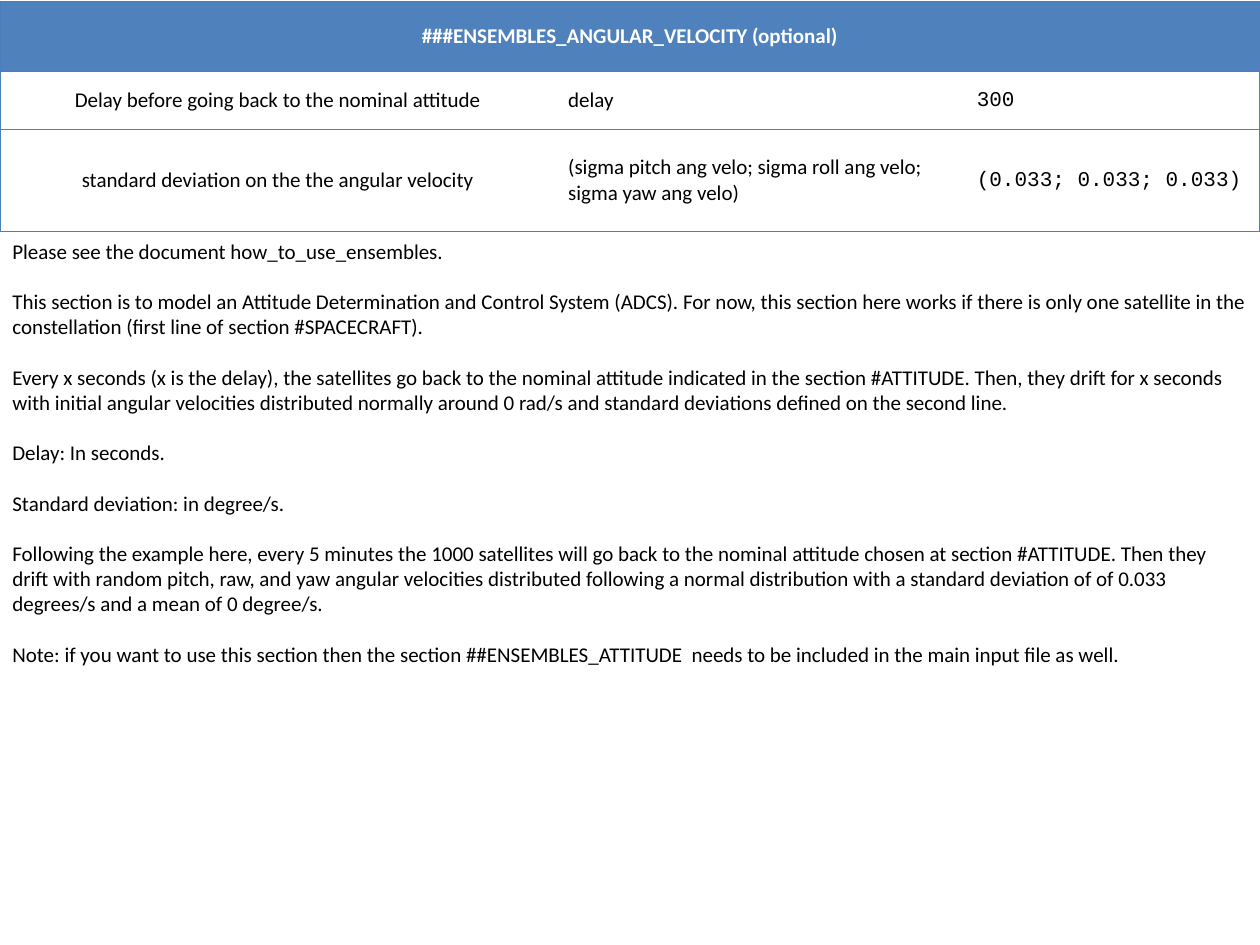
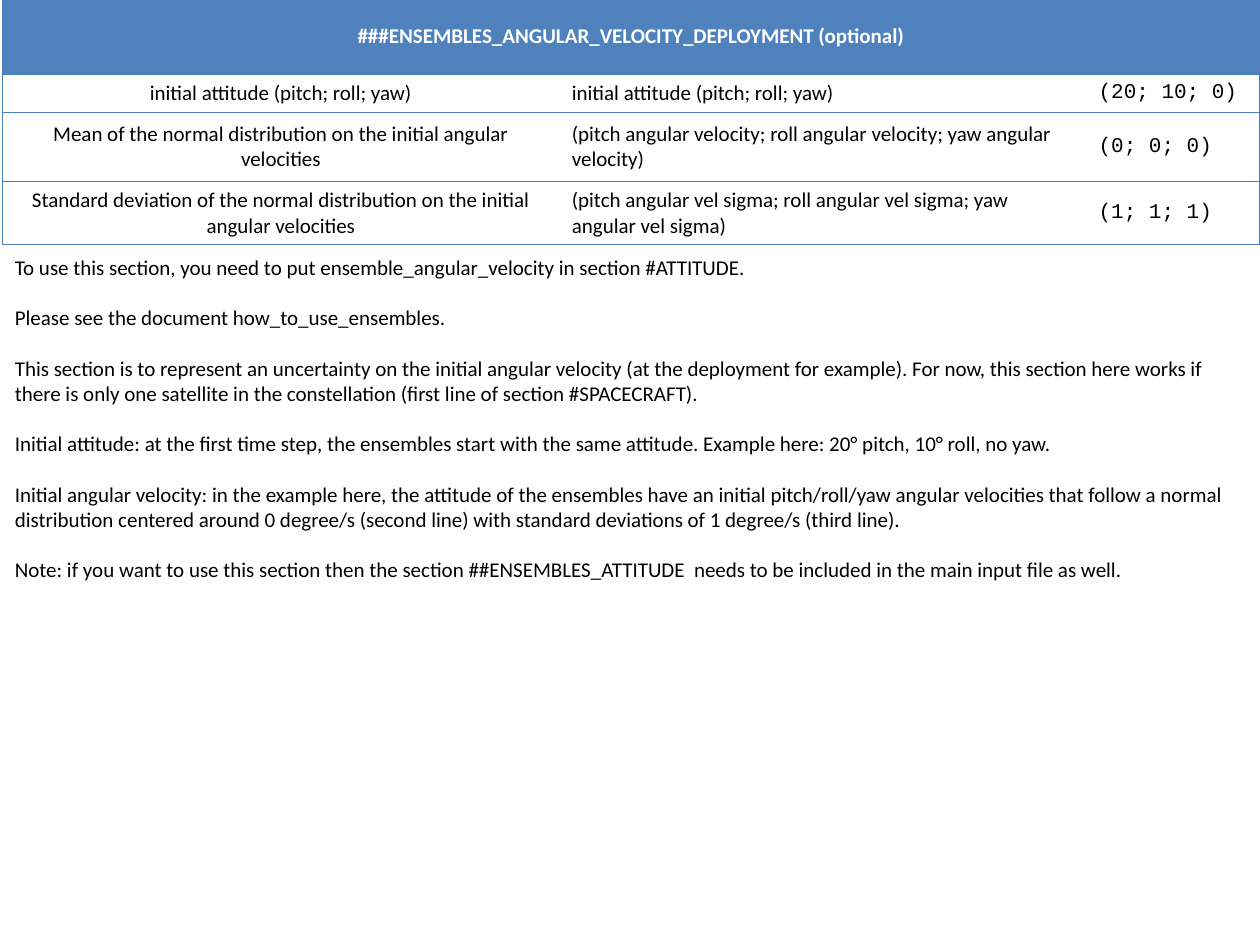
"""Build two reference slides on the optional angular velocity sections."""
from lxml import etree
from pptx import Presentation
from pptx.dml.color import RGBColor
from pptx.enum import text
from pptx.oxml import ns
from pptx.util import Pt

COLORS = {"header": "4F81BD", "border": "4B7EBC", "heading": "FFFFFF", "body": "000000"}
BODY_FONT, VALUE_FONT = "Calibri", "Courier New"
LINE_HEIGHT = 14.4
SEE_ALSO = "Please see the document how_to_use_ensembles."
NOTE = ("Note: if you want to use this section then the section ##ENSEMBLES_ATTITUDE  "
        "needs to be included in the main input file as well.")

SECTIONS = [
    {
        "heading": "###ENSEMBLES_ANGULAR_VELOCITY (optional)",
        "left": 0, "top": 0.7, "notes_top": 132.5, "notes_height": 254,
        "columns": [317.5, 233.5, 169],
        "heights": [40.3, 33.1, 58.3],
        "rows": [
            ("Delay before going back to the nominal attitude", "delay", "300"),
            ("standard deviation on the the angular velocity",
             "(sigma pitch ang velo; sigma roll ang velo; sigma yaw ang velo)",
             "(0.033; 0.033; 0.033)"),
        ],
        "notes": [
            SEE_ALSO,
            "This section is to model an Attitude Determination and Control System (ADCS). "
            "For now, this section here works if there is only one satellite in the "
            "constellation (first line of section #SPACECRAFT).",
            "Every x seconds (x is the delay), the satellites go back to the nominal attitude "
            "indicated in the section #ATTITUDE. Then, they drift for x seconds with initial "
            "angular velocities distributed normally around 0 rad/s and standard deviations "
            "defined on the second line.",
            "Delay: In seconds.",
            "Standard deviation: in degree/s.",
            "Following the example here, every 5 minutes the 1000 satellites will go back to "
            "the nominal attitude chosen at section #ATTITUDE. Then they drift with random "
            "pitch, raw, and yaw angular velocities distributed following a normal distribution "
            "with a standard deviation of of 0.033 degrees/s and a mean of 0 degree/s.",
            NOTE,
        ],
    },
    {
        "heading": "###ENSEMBLES_ANGULAR_VELOCITY_DEPLOYMENT (optional)",
        "left": 1.4, "top": -0.7, "notes_top": 141.8, "notes_height": 211,
        "columns": [318.2, 301, 99.4],
        "heights": [43.2, 21.6, 39.6, 36],
        "rows": [
            ("initial attitude (pitch; roll; yaw)", "initial attitude (pitch; roll; yaw)",
             "(20; 10; 0)"),
            ("Mean of the normal distribution on the initial angular velocities",
             "(pitch angular velocity; roll angular velocity; yaw angular velocity)",
             "(0; 0; 0)"),
            ("Standard deviation of the normal distribution on the initial angular velocities",
             "(pitch angular vel sigma; roll angular vel sigma; yaw angular vel sigma)",
             "(1; 1; 1)"),
        ],
        "notes": [
            "To use this section, you need to put ensemble_angular_velocity in section #ATTITUDE.",
            SEE_ALSO,
            "This section is to represent an uncertainty on the initial angular velocity (at the "
            "deployment for example). For now, this section here works if there is only one "
            "satellite in the constellation (first line of section #SPACECRAFT).",
            "Initial attitude: at the first time step, the ensembles start with the same "
            "attitude. Example here: 20° pitch, 10° roll, no yaw.",
            "Initial angular velocity: in the example here, the attitude of the ensembles have "
            "an initial pitch/roll/yaw angular velocities that follow a normal distribution "
            "centered around 0 degree/s (second line) with standard deviations of 1 degree/s "
            "(third line).",
            NOTE,
        ],
    },
]


def style_paragraph(para, color="body", font=BODY_FONT, bold=False):
    para.font.name = font
    para.font.size = Pt(12)
    para.font.bold = bold
    para.font.color.rgb = RGBColor.from_string(COLORS[color])


def set_borders(cell, visible_sides):
    properties = cell._tc.get_or_add_tcPr()
    for side in "LRTB":
        line = etree.SubElement(properties, ns.qn(f"a:ln{side}"), w=str(Pt(0.75)))
        if side in visible_sides:
            fill = etree.SubElement(line, ns.qn("a:solidFill"))
            etree.SubElement(fill, ns.qn("a:srgbClr"), val=COLORS["border"])
        else:
            etree.SubElement(line, ns.qn("a:noFill"))


deck = Presentation()
deck.slide_width, deck.slide_height = Pt(720), Pt(540)

for section in SECTIONS:
    page = deck.slides.add_slide(deck.slide_layouts.get_by_name("Blank"))
    left, width = Pt(section["left"]), Pt(sum(section["columns"]))

    table = page.shapes.add_table(len(section["heights"]), 3, left, Pt(section["top"]),
                                  width, Pt(sum(section["heights"]))).table
    table.horz_banding = False
    for column, column_width in zip(table.columns, section["columns"]):
        column.width = Pt(column_width)
    for row, height in zip(table.rows, section["heights"]):
        row.height = Pt(height)

    entries = [(section["heading"], "", "")] + section["rows"]
    for row_index, entry in enumerate(entries):
        for column_index, wording in enumerate(entry):
            cell = table.cell(row_index, column_index)
            cell.text = wording
            cell.vertical_anchor = text.MSO_ANCHOR.MIDDLE
            para = cell.text_frame.paragraphs[0]
            if column_index == 0:
                para.alignment = text.PP_ALIGN.CENTER
            set_borders(cell, ("LTB", "TB", "RTB")[column_index])
            if row_index == 0:
                cell.fill.solid()
                cell.fill.fore_color.rgb = RGBColor.from_string(COLORS["header"])
                style_paragraph(para, "heading", bold=True)
            else:
                cell.fill.background()
                style_paragraph(para, font=VALUE_FONT if column_index == 2 else BODY_FONT)
    table.cell(0, 0).merge(table.cell(0, 2))

    box = page.shapes.add_textbox(left, Pt(section["notes_top"]), width,
                                  Pt(section["notes_height"]))
    frame = box.text_frame
    frame.word_wrap = True
    frame.auto_size = text.MSO_AUTO_SIZE.SHAPE_TO_FIT_TEXT
    for index, note in enumerate(section["notes"]):
        para = frame.add_paragraph() if index else frame.paragraphs[0]
        para.text = note
        para.space_before = Pt(LINE_HEIGHT if index else 0)
        style_paragraph(para)

deck.save("out.pptx")
